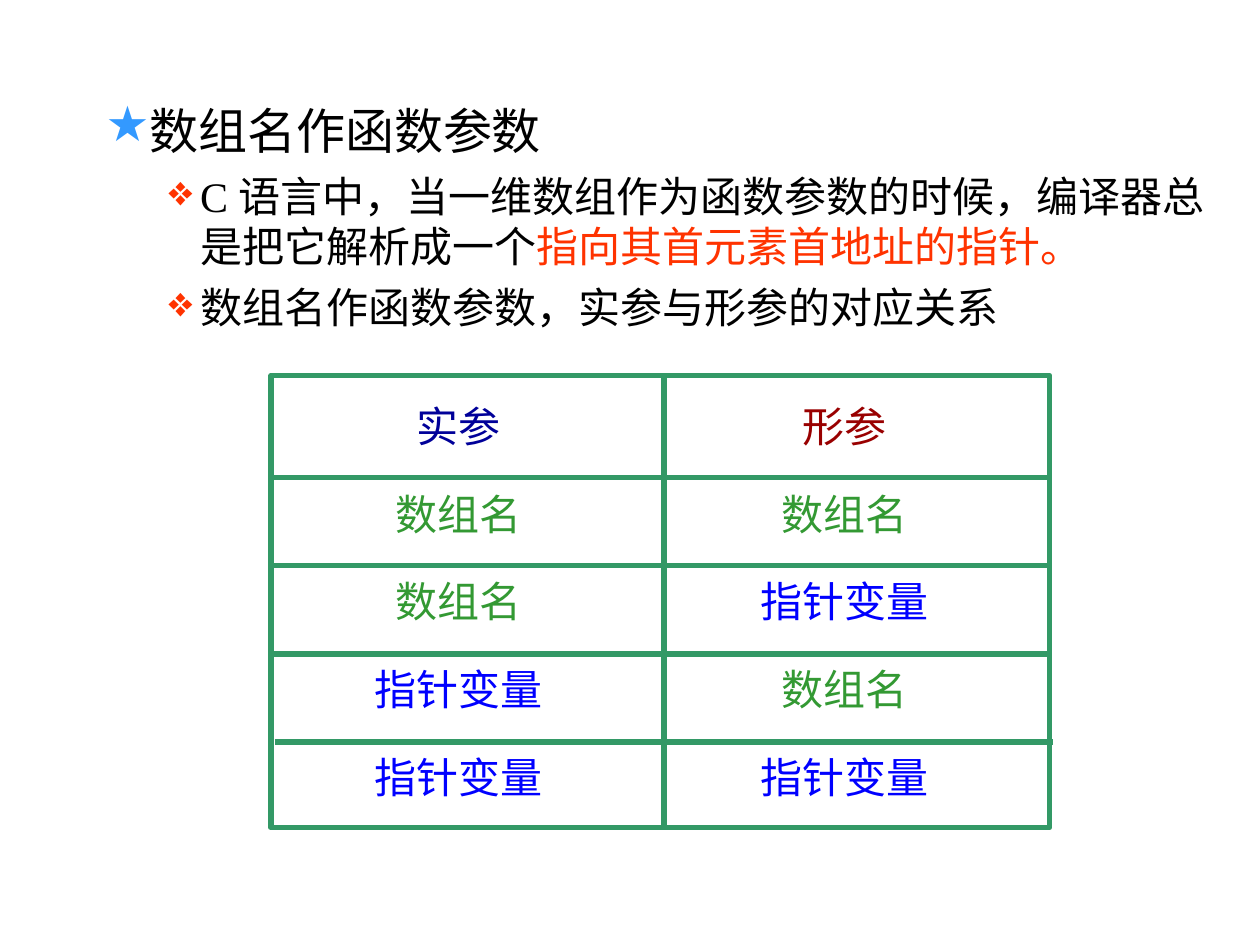
import dataclasses

import lxml.etree
import pptx
import pptx.dml.color
import pptx.enum.shapes
import pptx.enum.text
import pptx.oxml.ns
import pptx.util

Pt = pptx.util.Pt
qn = pptx.oxml.ns.qn

FONT_NAME = "Times New Roman"
BLACK, WHITE, ORANGE, SKY = "000000", "FFFFFF", "FF3300", "3399FF"
GRID_GREEN = "339966"
ARRAY_NAME = ("数组名", "339933")
POINTER = ("指针变量", "0000FF")

GRID_LEFT, GRID_TOP, GRID_WIDTH, GRID_HEIGHT = 154.8, 214.56, 444.96, 258.48
DIVIDER_X = 379.44
FIRST_RULE_Y, RULE_STEP = 272.88, 50.4
LAST_RULE_SHIFT = 2.16
COLUMN_CENTERS = (262.08, 482.4)
FIRST_ROW_CENTER, ROW_STEP = 243.36, 50.1
CELL_TEXT_SIZE, CELL_HEIGHT, CELL_PADDING = 24, 36, 14.4

ROWS = (
    (("实参", "000099"), ("形参", "990000")),
    (ARRAY_NAME, ARRAY_NAME),
    (ARRAY_NAME, POINTER),
    (POINTER, ARRAY_NAME),
    (POINTER, POINTER),
)


@dataclasses.dataclass(frozen=True)
class BulletStyle:
    level: int
    symbol: str
    color: str
    margin: float
    indent: float
    size: float
    space_before: float


@dataclasses.dataclass(frozen=True)
class BulletItem:
    style: BulletStyle
    runs: tuple[tuple[str, str], ...]


STAR = BulletStyle(1, "★", SKY, 58.32, -22.32, 28, 0)
DIAMOND = BulletStyle(2, "❖", ORANGE, 90, -18, 24, 6)

ITEMS = (
    BulletItem(STAR, (("数组名作函数参数", BLACK),)),
    BulletItem(DIAMOND, (
        ("C 语言中，当一维数组作为函数参数的时候，编译器总是把它解析成一个", BLACK),
        ("指向其首元素首地址的指针。", ORANGE),
    )),
    BulletItem(DIAMOND, (("数组名作函数参数，实参与形参的对应关系", BLACK),)),
)


def rgb(color: str) -> pptx.dml.color.RGBColor:
    return pptx.dml.color.RGBColor.from_string(color)


def add_bullet(paragraph, style: BulletStyle) -> None:
    paragraph.level = style.level
    properties = paragraph._p.get_or_add_pPr()
    properties.set("marL", str(Pt(style.margin)))
    properties.set("indent", str(Pt(style.indent)))
    bullet_color = lxml.etree.SubElement(properties, qn("a:buClr"))
    lxml.etree.SubElement(bullet_color, qn("a:srgbClr"), val=style.color)
    lxml.etree.SubElement(properties, qn("a:buChar"), char=style.symbol)


def add_bullet_list(shapes, items: tuple[BulletItem, ...]) -> None:
    text_box = shapes.add_textbox(Pt(17.28), Pt(54), Pt(678.96), Pt(228.24))
    frame = text_box.text_frame
    frame.word_wrap = True
    for index, item in enumerate(items):
        paragraph = frame.add_paragraph() if index else frame.paragraphs[0]
        add_bullet(paragraph, item.style)
        paragraph.space_before = Pt(item.style.space_before)
        paragraph.font.name = FONT_NAME
        paragraph.font.size = Pt(item.style.size)
        for text, color in item.runs:
            run = paragraph.add_run()
            run.text = text
            run.font.color.rgb = rgb(color)


def style_line(shape) -> None:
    shape.line.color.rgb = rgb(GRID_GREEN)
    shape.line.width = Pt(3)


def add_frame(shapes) -> None:
    frame = shapes.add_shape(
        pptx.enum.shapes.MSO_SHAPE.RECTANGLE,
        Pt(GRID_LEFT), Pt(GRID_TOP), Pt(GRID_WIDTH), Pt(GRID_HEIGHT),
    )
    frame.shadow.inherit = False
    frame.fill.solid()
    frame.fill.fore_color.rgb = rgb(WHITE)
    style_line(frame)


def add_rule(shapes, left: float, top: float, right: float, bottom: float) -> None:
    connector = shapes.add_connector(
        pptx.enum.shapes.MSO_CONNECTOR.STRAIGHT,
        Pt(left), Pt(top), Pt(right), Pt(bottom),
    )
    style_line(connector)
    lxml.etree.SubElement(connector._element.spPr, qn("a:effectLst"))


def add_cell_text(shapes, text: str, color: str, center_x: float, center_y: float) -> None:
    width = len(text) * CELL_TEXT_SIZE + CELL_PADDING
    text_box = shapes.add_textbox(
        Pt(center_x - width / 2), Pt(center_y - CELL_HEIGHT / 2), Pt(width), Pt(CELL_HEIGHT)
    )
    frame = text_box.text_frame
    frame.word_wrap = False
    frame.auto_size = pptx.enum.text.MSO_AUTO_SIZE.SHAPE_TO_FIT_TEXT
    frame.vertical_anchor = pptx.enum.text.MSO_ANCHOR.MIDDLE
    paragraph = frame.paragraphs[0]
    paragraph.text = text
    paragraph.alignment = pptx.enum.text.PP_ALIGN.CENTER
    paragraph.font.name = FONT_NAME
    paragraph.font.size = Pt(CELL_TEXT_SIZE)
    paragraph.font.color.rgb = rgb(color)


def add_grid(shapes) -> None:
    add_frame(shapes)
    add_rule(shapes, DIVIDER_X, GRID_TOP, DIVIDER_X, GRID_TOP + GRID_HEIGHT)
    rule_count = len(ROWS) - 1
    for index in range(rule_count):
        left = GRID_LEFT + (LAST_RULE_SHIFT if index == rule_count - 1 else 0)
        y = FIRST_RULE_Y + index * RULE_STEP
        add_rule(shapes, left, y, left + GRID_WIDTH, y)
    for index, row in enumerate(ROWS):
        for (text, color), center_x in zip(row, COLUMN_CENTERS):
            add_cell_text(shapes, text, color, center_x, FIRST_ROW_CENTER + index * ROW_STEP)


def main() -> None:
    presentation = pptx.Presentation()
    presentation.slide_width = Pt(720)
    presentation.slide_height = Pt(540)
    slide = presentation.slides.add_slide(presentation.slide_layouts[6])
    add_bullet_list(slide.shapes, ITEMS)
    add_grid(slide.shapes.add_group_shape().shapes)
    presentation.save("out.pptx")


if __name__ == "__main__":
    main()
